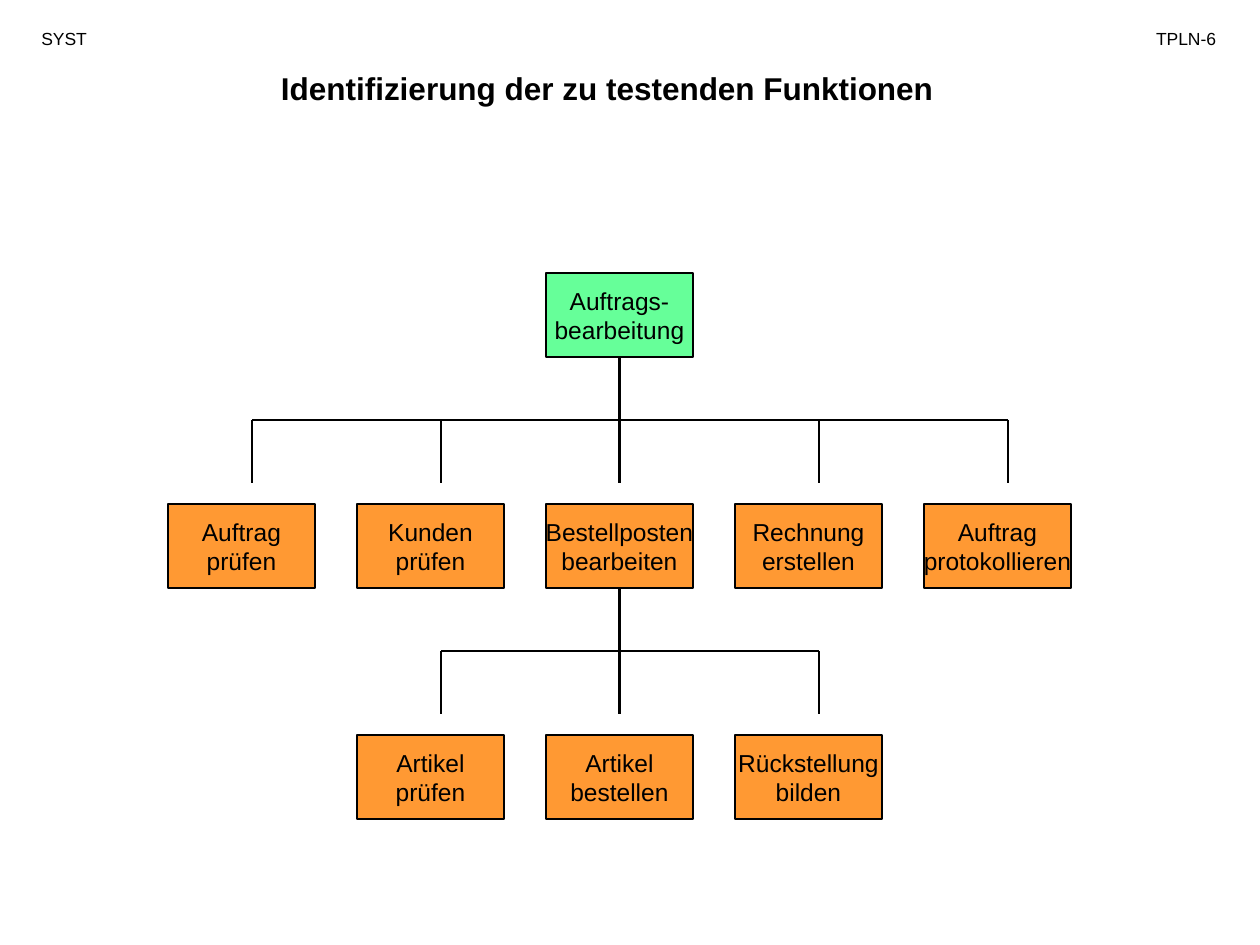
from dataclasses import dataclass

from lxml import etree
from pptx import Presentation, util as u
from pptx.dml.color import RGBColor
from pptx.enum import shapes, text
from pptx.oxml.ns import qn


@dataclass(frozen=True)
class Theme:
    font: str = "Arial"
    ink: str = "000000"
    root: str = "66FF99"
    node: str = "FF9933"
    title: int = 18
    label: int = 10
    body: int = 14
    edge: float = 0.75
    link: float = 1.5


T = Theme()
LEFT, CENTER, RIGHT = text.PP_ALIGN.LEFT, text.PP_ALIGN.CENTER, text.PP_ALIGN.RIGHT

# Tree grid, in twelfths of an inch
UNIT = u.Inches(1) // 12
BOX_W, BOX_H = 14, 8
COL, ROW = 18, 22
BAR, STEM = 6, 12  # depth of crossbar and of line ends below a parent
SHIFT = 1          # side lines stand right of the box centres
MID = 2            # column of the parents

LEVELS = [
    {MID: ["Auftrags-", "bearbeitung"]},
    {0: ["Auftrag", "prüfen"], 1: ["Kunden", "prüfen"],
     2: ["Bestellposten", "bearbeiten"], 3: ["Rechnung", "erstellen"],
     4: ["Auftrag", "protokollieren"]},
    {1: ["Artikel", "prüfen"], 2: ["Artikel", "bestellen"],
     3: ["Rückstellung", "bilden"]},
]


def color(code):
    return RGBColor.from_string(code)


def write(frame, lines, size, align, bold=False):
    for i, line in enumerate(lines):
        para = frame.paragraphs[0] if i == 0 else frame.add_paragraph()
        para.alignment = align
        run = para.add_run()
        run.text = line
        font = run.font
        font.name, font.size, font.bold = T.font, u.Pt(size), bold
        font.color.rgb = color(T.ink)


def head(shape, box, line, size, align, bold=False):
    """Place and fill one text of the slide header."""
    shape.left, shape.top, shape.width, shape.height = map(u.Inches, box)
    frame = shape.text_frame
    frame.word_wrap = True
    frame.vertical_anchor = text.MSO_ANCHOR.TOP
    frame.auto_size = text.MSO_AUTO_SIZE.SHAPE_TO_FIT_TEXT
    write(frame, [line], size, align, bold)


def header(slide):
    head(slide.shapes.title, (1.22, 0.5, 7.2, 0.4),
         "Identifizierung der zu testenden Funktionen", T.title, CENTER, True)
    for box, line, align in [((0.23, 0.17, 1.1, 0.27), "SYST", LEFT),
                             ((8.75, 0.17, 1, 0.27), "TPLN-6", RIGHT)]:
        head(slide.shapes.add_textbox(0, 0, 0, 0), box, line, T.label, align)


def node(slide, x, y, lines, fill):
    box = slide.shapes.add_shape(
        shapes.MSO_SHAPE.RECTANGLE, *(n * UNIT for n in (x, y, BOX_W, BOX_H)))
    box.shadow.inherit = False
    box.fill.solid()
    box.fill.fore_color.rgb = color(fill)
    box.line.color.rgb = color(T.ink)
    box.line.width = u.Pt(T.edge)
    frame = box.text_frame
    frame.word_wrap = False
    frame.vertical_anchor = text.MSO_ANCHOR.MIDDLE
    write(frame, lines, T.body, CENTER)
    return box


def link(slide, *ends):
    line = slide.shapes.add_connector(
        shapes.MSO_CONNECTOR.STRAIGHT, *(n * UNIT for n in ends))
    line.line.color.rgb = color(T.ink)
    line.line.width = u.Pt(T.link)
    etree.SubElement(line._element.spPr, qn("a:effectLst"))
    return line


def branch(slide, parent, left, top, cols):
    """Draw the lines from a parent box towards its children."""
    mid = left + MID * COL + BOX_W // 2
    base = top + BOX_H
    bar, end = base + BAR, base + STEM
    link(slide, mid, base, mid, end).begin_connect(parent, 2)
    sides = [left + c * COL + BOX_W // 2 + SHIFT for c in cols if c != MID]
    for x in sides:
        link(slide, x, bar, x, end)
    link(slide, sides[0], bar, sides[-1], bar)


def tree(slide, left, top):
    rows = []
    for r, level in enumerate(LEVELS):
        fill = T.node if r else T.root
        rows.append({c: node(slide, left + c * COL, top + r * ROW, lines, fill)
                     for c, lines in level.items()})
    for r, below in enumerate(rows[1:]):
        branch(slide, rows[r][MID], left, top + r * ROW, list(below))


def main():
    deck = Presentation()
    deck.slide_width, deck.slide_height = u.Inches(10), u.Inches(7.5)
    slide = deck.slides.add_slide(deck.slide_layouts.get_by_name("Title Only"))
    header(slide)
    tree(slide, left=16, top=26)
    deck.save("out.pptx")


if __name__ == "__main__":
    main()
